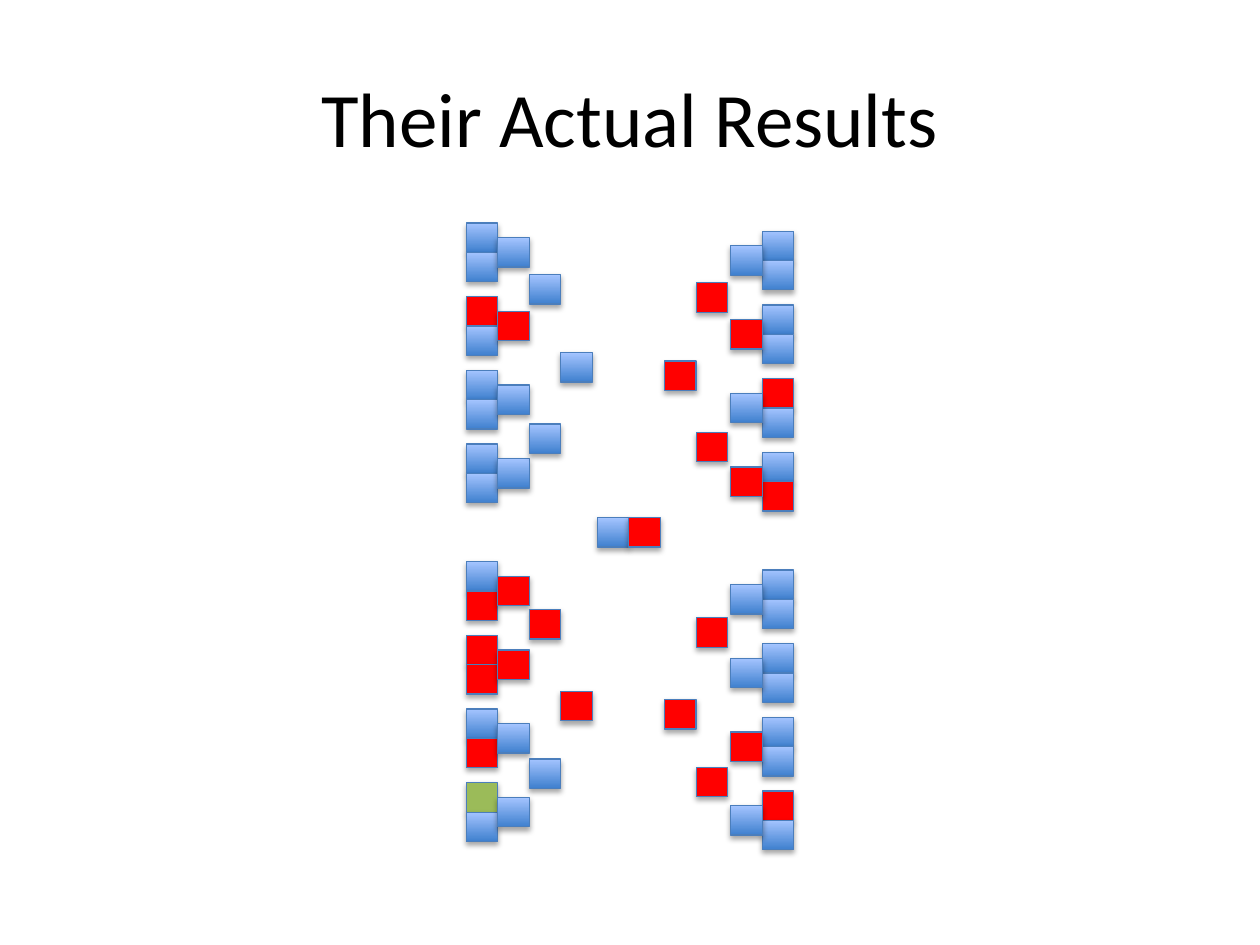
"""Build the tournament bracket slide with its coloured result cells."""
import dataclasses
import typing

import lxml.etree
import pptx
import pptx.dml.color
import pptx.enum.dml
import pptx.enum.shapes
import pptx.enum.text
import pptx.oxml.ns
import pptx.util

RGB = pptx.dml.color.RGBColor
BLACK = RGB(0x00, 0x00, 0x00)
RED = RGB(0xFF, 0x00, 0x00)
GREEN = RGB(0x9B, 0xBB, 0x59)
DARK_BLUE = RGB(0x3F, 0x80, 0xCE)
LIGHT_BLUE = RGB(0xA4, 0xC4, 0xFF)
LINE_BLUE = RGB(0x4B, 0x7E, 0xBC)
SOLID = {"R": RED, "G": GREEN}

CELL_W, CELL_H = 0.25, 0.233
GRID_LEFT, GRID_TOP = 3.7, 1.77
PAIR_PITCH = 2.51
LEFT_COLS = (0, 1, 2, 3)
RIGHT_COLS = (9.4, 8.4, 7.3, 6.3)
TITLE_FONT = {"name": "Calibri", "size": pptx.util.Pt(44)}
TITLE_BOX = {"left": 0.5, "top": 0.3, "width": 9, "height": 1.25}


@dataclasses.dataclass(frozen=True)
class Region:
    """A quarter of the bracket: its columns, top row and results by round."""

    cols: tuple[float, ...]
    top: float
    third_row: float
    rounds: tuple[str, ...]

    def rows(self, rnd: int) -> list[float]:
        """Return the grid rows of the cells in one round."""
        if rnd == 0:
            return [self.top + i // 2 * PAIR_PITCH + i % 2 for i in range(8)]
        start = (0.5, self.third_row, 4.42)[rnd - 1]
        pitch = (PAIR_PITCH, 5.09, 0)[rnd - 1]
        return [self.top + start + i * pitch for i in range(len(self.rounds[rnd]))]


REGIONS = (
    Region(LEFT_COLS, 0, 1.76, ("BBRBBBBB", "BRBB", "BB", "B")),
    Region(LEFT_COLS, 11.54, 1.63, ("BRRRBRGB", "RRBB", "RB", "R")),
    Region(RIGHT_COLS, 0.28, 1.76, ("BBBBRBBR", "BRBR", "RR", "R")),
    Region(RIGHT_COLS, 11.82, 1.63, ("BBBBBBRB", "BBRB", "RR", "R")),
)
FINALISTS = ((4.16, "B"), (5.16, "R"))
FINAL_ROW = 10.04


def set_attrs(obj: typing.Any, values: dict[str, typing.Any]) -> None:
    """Set each named format value on an object."""
    for name, value in values.items():
        setattr(obj, name, value)


def add_shadow(sp: typing.Any) -> None:
    """Give a shape a soft shadow straight below it."""
    sp.shadow.inherit = False
    qn = pptx.oxml.ns.qn
    effects = sp._element.spPr.find(qn("a:effectLst"))
    shadow = lxml.etree.SubElement(
        effects, qn("a:outerShdw"),
        blurRad=str(pptx.util.Pt(3.1)), dist=str(pptx.util.Pt(1.8)),
        dir="5400000", rotWithShape="0",
    )
    color = lxml.etree.SubElement(shadow, qn("a:srgbClr"), val=str(BLACK))
    lxml.etree.SubElement(color, qn("a:alpha"), val="35000")


def add_cell(s: typing.Any, col: float, row: float, result: str) -> None:
    """Draw one result cell at a grid position."""
    box = (GRID_LEFT + col * CELL_W, GRID_TOP + row * CELL_H, CELL_W, CELL_H)
    sp = s.shapes.add_shape(
        pptx.enum.shapes.MSO_SHAPE.RECTANGLE, *map(pptx.util.Inches, box)
    )
    if result in SOLID:
        sp.fill.solid()
        sp.fill.fore_color.rgb = SOLID[result]
    else:
        sp.fill.gradient()
        sp.fill.gradient_angle = 90
        for stop, color in zip(sp.fill.gradient_stops, (DARK_BLUE, LIGHT_BLUE)):
            stop.color.rgb = color
    sp.line.color.rgb = LINE_BLUE
    sp.line.width = pptx.util.Pt(0.75)
    add_shadow(sp)


def add_title(s: typing.Any, text: str) -> None:
    """Fill and format the title placeholder."""
    sp = s.shapes.title
    set_attrs(sp, {k: pptx.util.Inches(v) for k, v in TITLE_BOX.items()})
    tf = sp.text_frame
    tf.vertical_anchor = pptx.enum.text.MSO_ANCHOR.MIDDLE
    p = tf.paragraphs[0]
    p.alignment = pptx.enum.text.PP_ALIGN.CENTER
    r = p.add_run()
    r.text = text
    set_attrs(r.font, TITLE_FONT)
    r.font.color.rgb = BLACK


def main() -> None:
    """Build and save the slide."""
    prs = pptx.Presentation()
    prs.slide_width = pptx.util.Inches(10)
    prs.slide_height = pptx.util.Inches(7.5)
    s = prs.slides.add_slide(prs.slide_layouts[5])
    add_title(s, "Their Actual Results")
    for rnd in range(4):
        for region in REGIONS:
            for row, result in zip(region.rows(rnd), region.rounds[rnd]):
                add_cell(s, region.cols[rnd], row, result)
    for col, result in FINALISTS:
        add_cell(s, col, FINAL_ROW, result)
    prs.save("out.pptx")


if __name__ == "__main__":
    main()
